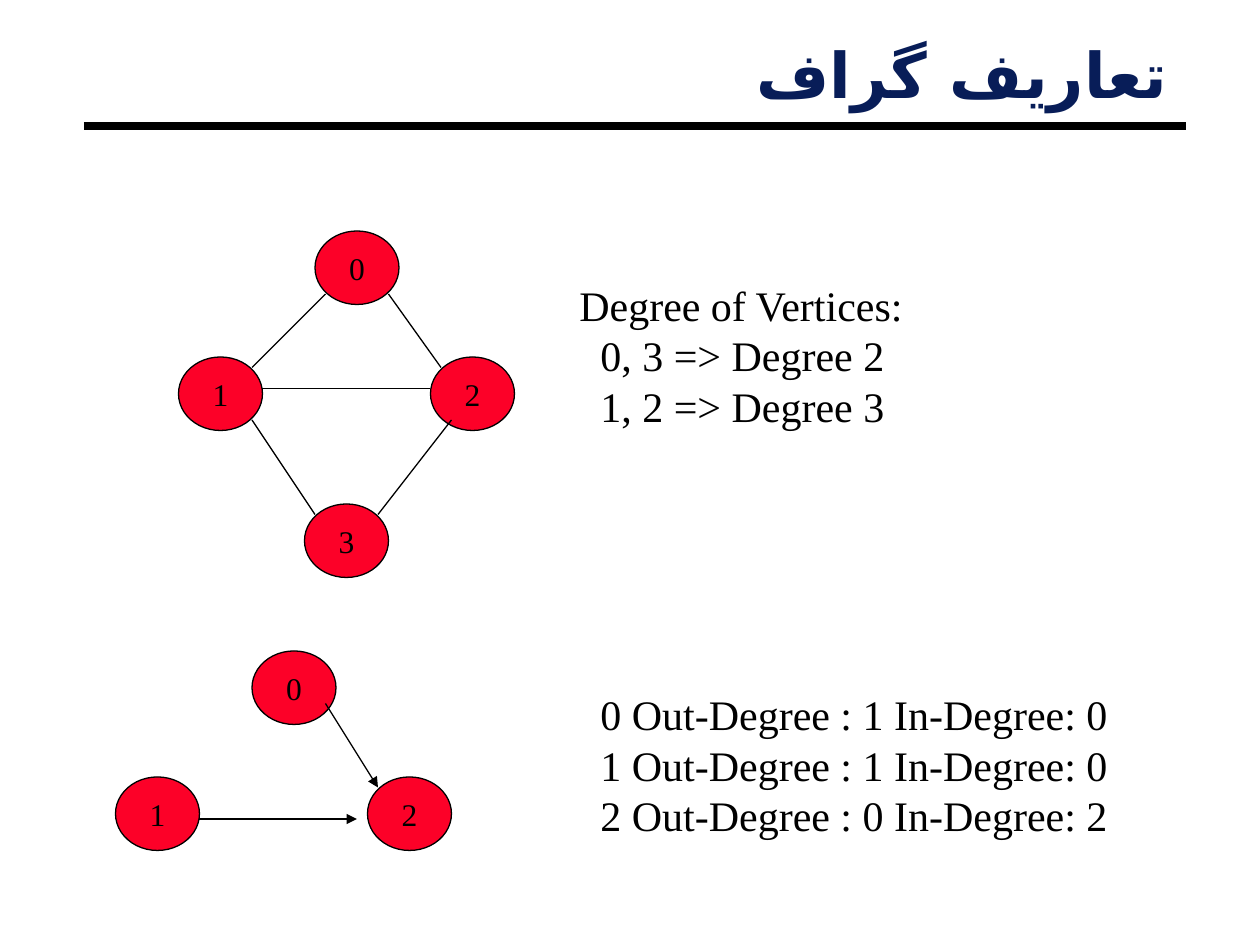
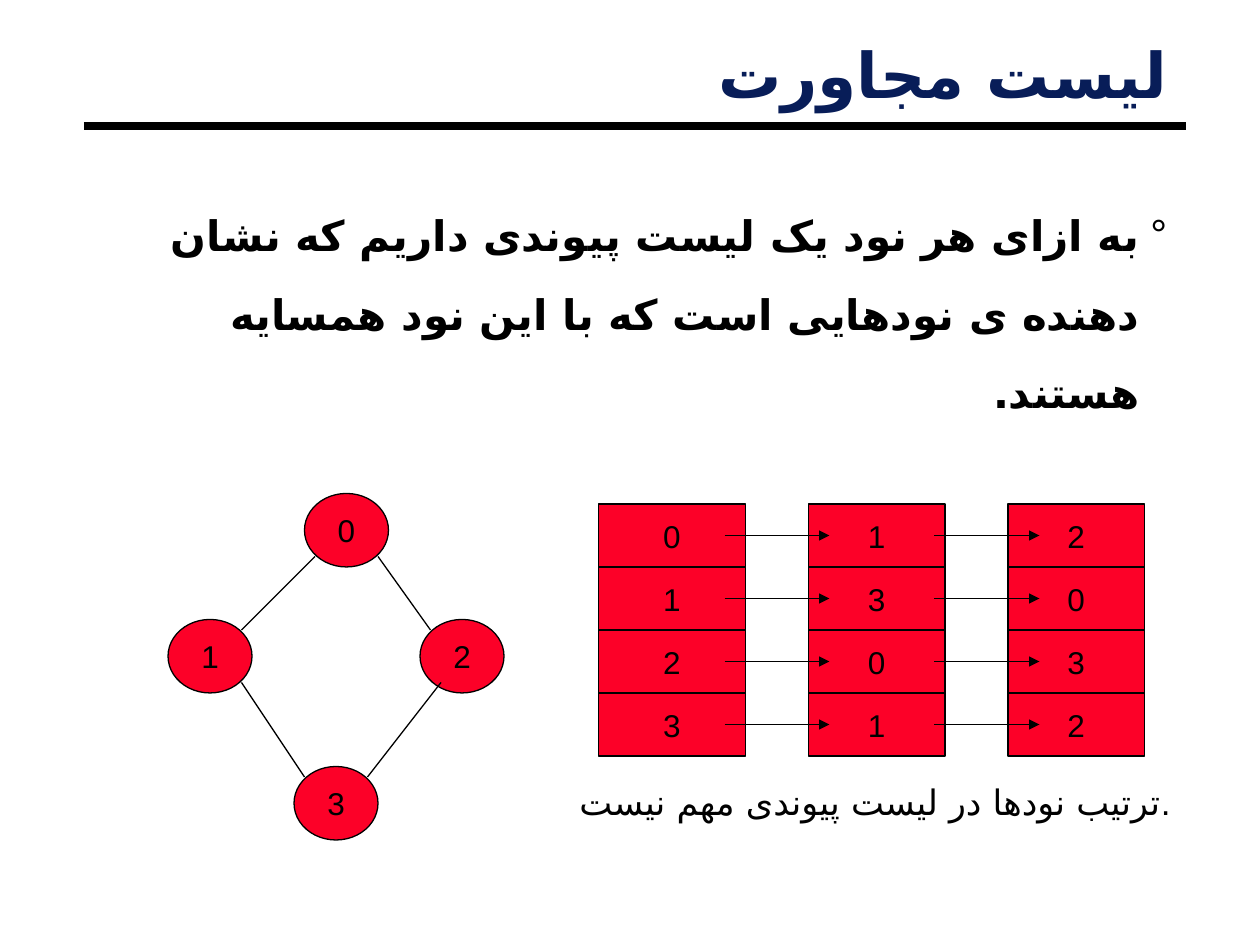
from lxml.etree import Element, SubElement
from pptx import Presentation
from pptx.dml.color import RGBColor
from pptx.enum.shapes import MSO_CONNECTOR, MSO_SHAPE
from pptx.enum.text import MSO_ANCHOR, MSO_AUTO_SIZE, PP_ALIGN
from pptx.oxml.ns import qn
from pptx.util import Inches, Pt

NAVY = RGBColor(0x08, 0x1D, 0x58)
RED = RGBColor(0xFC, 0x01, 0x28)
BLACK = RGBColor(0, 0, 0)
SERIF, SANS = "Times New Roman", "Arial"
PERSIAN = "DejaVu Sans"  # face for the right-to-left script

deck = Presentation()
deck.slide_width, deck.slide_height = Inches(10), Inches(7.5)
UNIT = deck.slide_width // 120  # the grid has 120 columns and 90 rows


def write(frame, lines, face, size, color=BLACK, bold=False):
    """Fill a text frame with one paragraph per line, all in one font."""
    frame.text = "\n".join(lines)
    for para in frame.paragraphs:
        font = para.font
        font.name, font.size, font.bold = face, Pt(size), bold
        font.color.rgb = color
        style = para._p.pPr.find(qn("a:defRPr"))
        SubElement(style, qn("a:cs")).set("typeface", PERSIAN)


def link(slide, ends, arrow=False, width=0.75):
    """Draw a line between two grid points given as x1, y1, x2, y2."""
    line = slide.shapes.add_connector(
        MSO_CONNECTOR.STRAIGHT, *[end * UNIT for end in ends])
    line.line.color.rgb, line.line.width = BLACK, Pt(width)
    if arrow:
        SubElement(line.line._get_or_add_ln(), qn("a:tailEnd")).set("type", "triangle")
    SubElement(line.element.spPr, qn("a:effectLst"))
    return line


# Titles and the shared rule
terms = deck.slides.add_slide(deck.slide_layouts[5])
lists = deck.slides.add_slide(deck.slide_layouts[1])
rule = link(terms, (8, 12, 113, 12), width=4.5)
deck.slide_master.shapes.element.append(rule.element)

body = lists.placeholders[1]
prose = "به ازای هر نود یک لیست پیوندی داریم که نشان دهنده ی نودهایی است که با این نود همسایه هستند."
holders = [
    (terms.shapes.title, (8, 4, 104, 7), "تعاریف گراف", 0.87, "Lato", 36, NAVY),
    (lists.shapes.title, (8, 4, 104, 7), "لیست مجاورت", 0.87, "Lato", 36, NAVY),
    (body, (9, 17, 103, 22), prose, 1.55, "Roboto", 24, BLACK),
]
for holder, area, text, space, face, size, color in holders:
    holder.left, holder.top, holder.width, holder.height = [n * UNIT for n in area]
    frame = holder.text_frame
    frame.auto_size = MSO_AUTO_SIZE.NONE
    frame.vertical_anchor = MSO_ANCHOR.TOP
    frame.margin_left = frame.margin_right = Inches(0.07)
    frame.margin_top = frame.margin_bottom = Inches(0.03)
    write(frame, [text], face, size, color, bold=True)
    para = frame.paragraphs[0]
    para.alignment, para.line_spacing, para.space_before = PP_ALIGN.RIGHT, space, Pt(0)
    para._p.pPr.set("rtl", "1")

# Hanging ring bullet of the list
props = body.text_frame.paragraphs[0]._p.pPr
props.set("marL", str(Inches(0.22)))
props.set("indent", str(-Inches(0.22)))
tint, mark = Element(qn("a:buClr")), Element(qn("a:buChar"))
SubElement(tint, qn("a:srgbClr")).set("val", str(BLACK))
mark.set("char", "°")
for part in (tint, mark):
    props.find(qn("a:defRPr")).addprevious(part)

# Graphs share one layout of nodes, shifted across the slide
NODES = [(30, 22), (17, 34), (41, 34), (29, 48)]
SIDES = [(31, 28, 24, 35), (37, 28, 42, 35), (30, 49, 24, 40), (36, 49, 43, 40)]
CROSS = (25, 37, 41, 37)
ARCS = [(25, 38, 40, 38), (37, 27, 42, 35)]
graphs = [
    (terms, SERIF, 0, 0, 4, SIDES + [CROSS], False),
    (terms, SERIF, -6, 40, 3, ARCS, True),
    (lists, SANS, -1, 25, 4, SIDES, False),
]
cells, links = [], []
for slide, face, dx, dy, count, edges, arrow in graphs:
    for name, (x, y) in enumerate(NODES[:count]):
        cells.append((slide, MSO_SHAPE.OVAL, (x + dx, y + dy, 8, 7), str(name), face))
    for x1, y1, x2, y2 in edges:
        links.append((slide, (x1 + dx, y1 + dy, x2 + dx, y2 + dy), arrow))

# Adjacency lists: a head column and two columns of neighbours
for x, width, names in [(57, 14, "0123"), (77, 13, "1301"), (96, 13, "2032")]:
    for row, name in enumerate(names):
        cells.append((lists, MSO_SHAPE.RECTANGLE, (x, 48 + 6 * row, width, 6), name, SANS))
for x in (69, 89):
    for row in range(4):
        y = 51 + 6 * row
        links.append((lists, (x, y, x + 10, y), True))

for slide, kind, area, name, face in cells:
    cell = slide.shapes.add_shape(kind, *[n * UNIT for n in area])
    cell.shadow.inherit = False
    cell.fill.solid()
    cell.fill.fore_color.rgb = RED
    cell.line.color.rgb, cell.line.width = BLACK, Pt(0.75)
    frame = cell.text_frame
    frame.word_wrap, frame.vertical_anchor = False, MSO_ANCHOR.MIDDLE
    write(frame, [name], face, 18)
    frame.paragraphs[0].alignment = PP_ALIGN.CENTER
for slide, ends, arrow in links:
    link(slide, ends, arrow)

# Notes beside the graphs; lines after the first may be indented
degrees = ["Degree of Vertices:", "0, 3 => Degree 2", "1, 2 => Degree 3"]
flows = [f"{node} Out-Degree : {out} In-Degree: {into}"
         for node, out, into in [(0, 1, 0), (1, 1, 0), (2, 0, 2)]]
order = ["ترتیب نودها در لیست پیوندی مهم نیست."]
texts = [
    (terms, (54, 26, 54, 16), degrees, SERIF, 24, 2),
    (terms, (56, 65, 54, 16), flows, SERIF, 24, 0),
    (lists, (54, 73.7, 60, 5), order, SANS, 20, 0),
]
for slide, area, lines, face, size, indent in texts:
    box = slide.shapes.add_textbox(*[round(n * UNIT) for n in area])
    box.text_frame.word_wrap = True
    write(box.text_frame, lines, face, size)
    for para in box.text_frame.paragraphs[1:]:
        para._p.pPr.set("marL", str(indent * UNIT))

deck.save("out.pptx")
